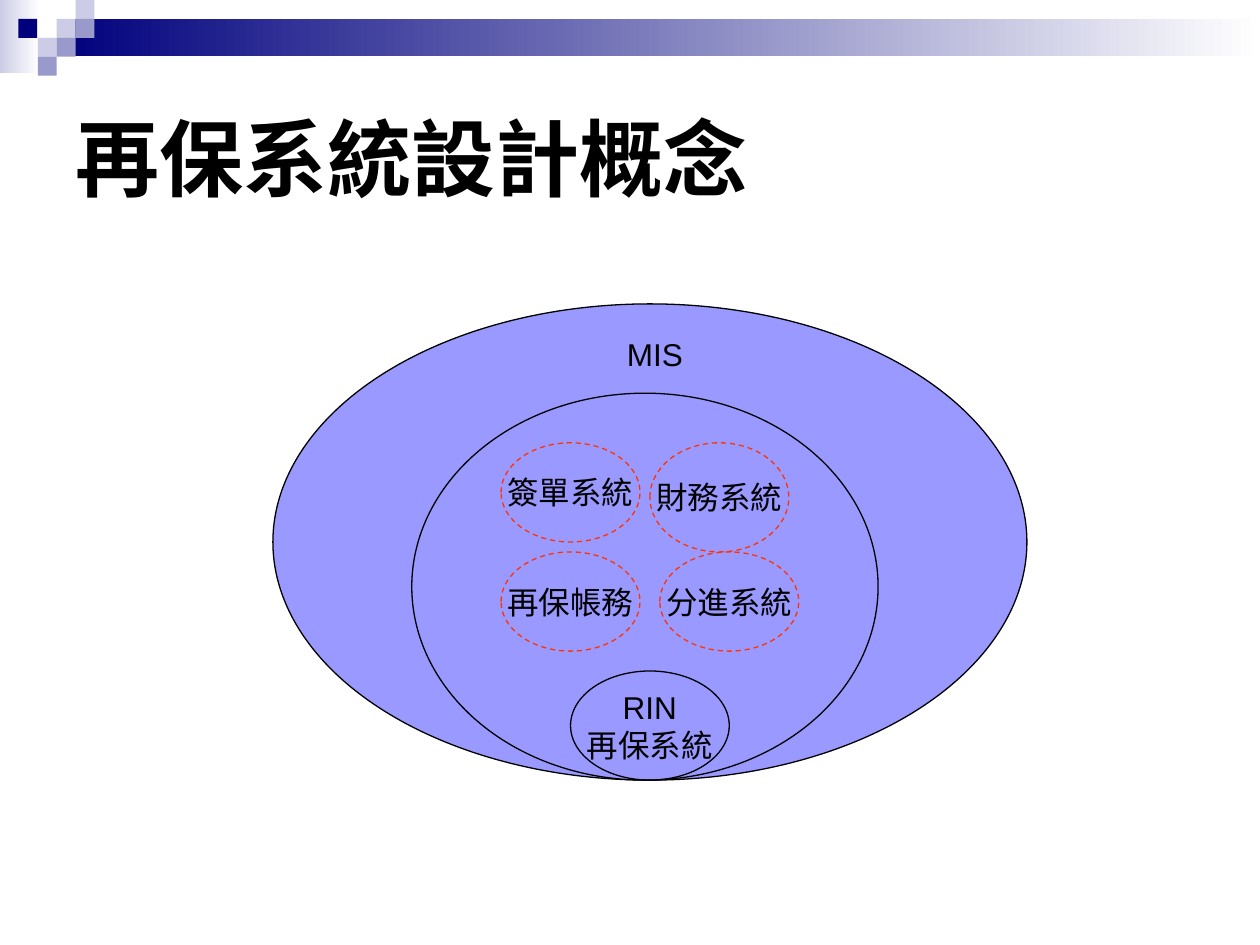
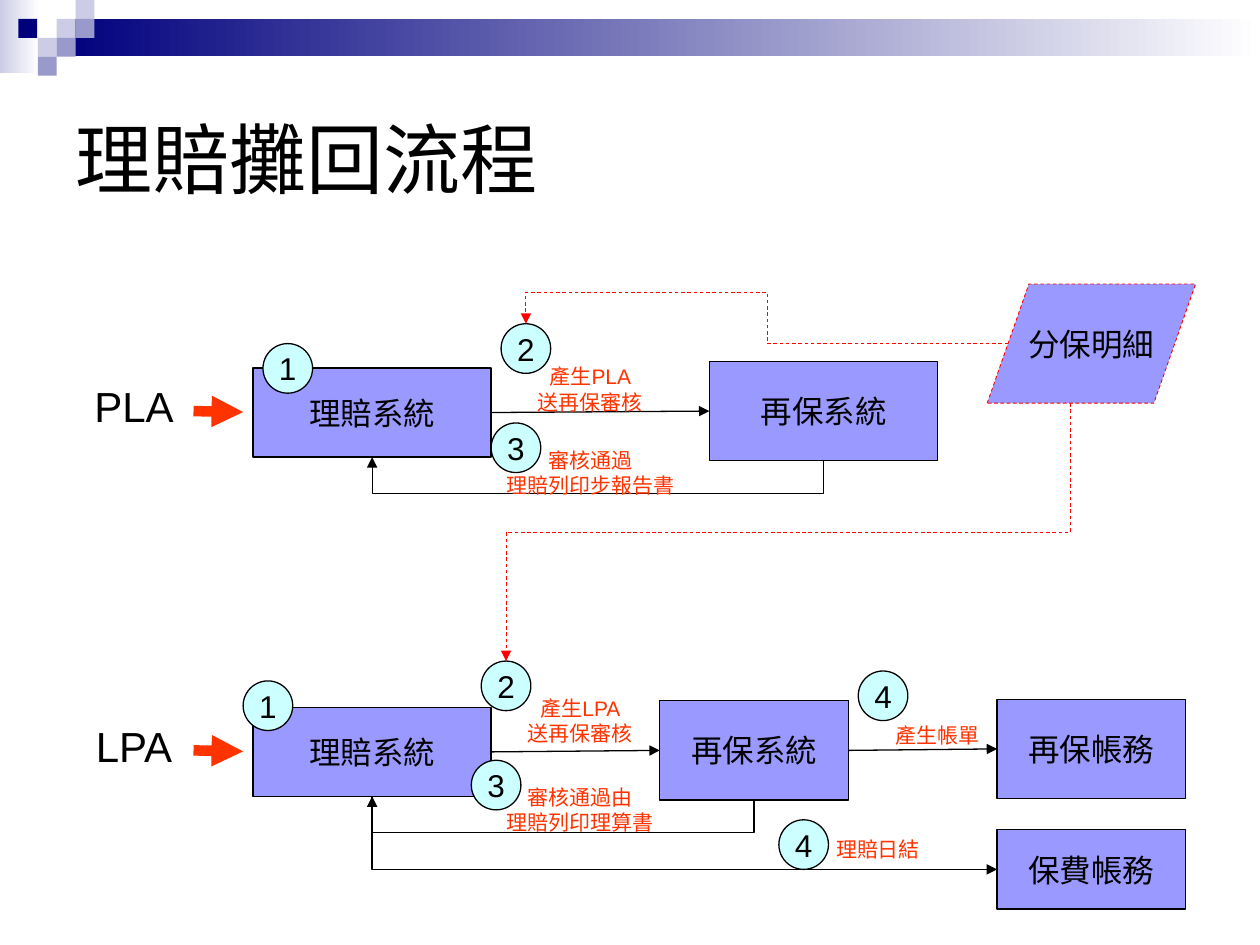
from pptx import Presentation
from pptx.dml.color import RGBColor
from pptx.enum.dml import MSO_LINE
from pptx.enum.shapes import MSO_CONNECTOR, MSO_SHAPE
from pptx.enum.text import MSO_ANCHOR, PP_ALIGN
from pptx.oxml.ns import qn
from pptx.util import Inches, Mm, Pt

RECT, OVAL = MSO_SHAPE.RECTANGLE, MSO_SHAPE.OVAL
DATA = MSO_SHAPE.FLOWCHART_DATA
PROCESS = MSO_SHAPE.FLOWCHART_PROCESS
DASH, DASH_DOT = MSO_LINE.DASH, MSO_LINE.DASH_DOT
STRAIGHT, ELBOW = MSO_CONNECTOR.STRAIGHT, MSO_CONNECTOR.ELBOW
LEFT, CENTER = PP_ALIGN.LEFT, PP_ALIGN.CENTER
TOP_SITE, LEFT_SITE, BOTTOM_SITE, RIGHT_SITE = range(4)

FONT = "Arial"
BLACK, WHITE, NAVY = "000000", "FFFFFF", "00007D"
PALE, MID = "CCCCE6", "9999CC"
VIOLET, AQUA, ORANGE, RED = "9999FF", "CCFFFF", "FF3300", "FF0000"

# Diagrams sit on a 2 mm grid; the header sits on a mosaic of 0.15 inch tiles.
GRID = (Mm(2), Inches(0.04), Inches(0.05))
MOSAIC = (Inches(0.15), 0, 0)


def draw(slide, kind, cells, text="", fill=None, line=None, dash=None, weight=0.75,
         size=18, color=BLACK, align=CENTER, grid=GRID):
    """Add a shape at (column, row, columns wide, rows high) of a grid."""
    unit, x0, y0 = grid
    column, row, wide, high = cells
    box = [int(v) for v in (x0 + column * unit, y0 + row * unit, wide * unit, high * unit)]
    if kind is None:
        shape = slide.shapes.add_textbox(*box)
    else:
        shape = slide.shapes.add_shape(kind, *box)
        shape.shadow.inherit = False
    if fill:
        shape.fill.solid()
        shape.fill.fore_color.rgb = RGBColor.from_string(fill)
    else:
        shape.fill.background()
    if line:
        shape.line.color.rgb = RGBColor.from_string(line)
        shape.line.width = Pt(weight)
        if dash:
            shape.line.dash_style = dash
    else:
        shape.line.fill.background()
    if text:
        frame = shape.text_frame
        frame.word_wrap = False
        frame.vertical_anchor = MSO_ANCHOR.MIDDLE
        frame.text = text
        for paragraph in frame.paragraphs:
            paragraph.alignment = align
            paragraph.font.name = FONT
            paragraph.font.size = Pt(size)
            paragraph.font.color.rgb = RGBColor.from_string(color)
    return shape


def link(slide, start, end, joints=None, color=BLACK, weight=0.75, dash=None,
         bend=None, turn=0, flip=None, shares=()):
    """Add an arrow between grid points; bend, turn, flip and shares shape an elbow."""
    unit, x0, y0 = GRID
    x1, y1, x2, y2 = [int(v) for v in (x0 + start[0] * unit, y0 + start[1] * unit,
                                       x0 + end[0] * unit, y0 + end[1] * unit)]
    arrow = slide.shapes.add_connector(ELBOW if bend else STRAIGHT, x1, y1, x2, y2)
    if joints:
        source, source_site, target, target_site = joints
        arrow.begin_connect(source, source_site)
        arrow.end_connect(target, target_site)
    properties = arrow._element.spPr
    if bend:
        wide, high = abs(x2 - x1), abs(y2 - y1)
        if turn in (90, 270):
            wide, high = high, wide
        arrow.left, arrow.top = (x1 + x2 - wide) // 2, (y1 + y2 - high) // 2
        arrow.width, arrow.height = wide, high
        frame = properties.find(qn("a:xfrm"))
        for side in ("flipH", "flipV"):
            frame.set(side, "1" if side == flip else "0")
        frame.set("rot", str(turn * 60000))
        geometry = properties.find(qn("a:prstGeom"))
        geometry.set("prst", bend)
        guides = geometry.find(qn("a:avLst"))
        for number, share in enumerate(shares, 1):
            guide = guides.makeelement(qn("a:gd"), {
                "name": f"adj{number}", "fmla": f"val {round(share * 100000)}"})
            guides.append(guide)
    arrow.line.color.rgb = RGBColor.from_string(color)
    arrow.line.width = Pt(weight)
    if dash:
        arrow.line.dash_style = dash
    stroke = properties.find(qn("a:ln"))
    stroke.append(stroke.makeelement(qn("a:tailEnd"), {"type": "triangle"}))
    properties.append(properties.makeelement(qn("a:effectLst"), {}))


prs = Presentation()
prs.slide_width, prs.slide_height = Inches(10), Inches(7.5)

# Header and title of both slides
bands = [((0, 0, 2.07, 3.87), PALE), ((3, 1, 63.67, 1.97), NAVY)]
tiles = [(3, 1, PALE), (4, 0, PALE), (4, 1, MID), (2, 2, PALE),
         (0.97, 1, NAVY), (3, 2, MID), (2, 3, MID)]
slides = []
for heading, size, bold in [("再保系統設計概念", 48, True), ("理賠攤回流程", 44, False)]:
    slide = prs.slides.add_slide(prs.slide_layouts[6])
    for cells, shade in bands:
        band = draw(slide, RECT, cells, grid=MOSAIC)
        band.fill.gradient()
        band.fill.gradient_angle = 0
        for stop, stop_color in zip(band.fill.gradient_stops, (shade, WHITE)):
            stop.color.rgb = RGBColor.from_string(stop_color)
            stop.position = 0 if stop_color == shade else 1
    for column, row, shade in tiles:
        draw(slide, RECT, (column, row, 1, 1), fill=shade, grid=MOSAIC)
    title = draw(slide, None, (3.33, 3.33, 60, 10), heading, size=size, align=LEFT, grid=MOSAIC)
    title.text_frame.word_wrap = True
    title.text_frame.paragraphs[0].font.bold = bold
    slides.append(slide)
concept, flow = slides

# Slide 1: nested systems
for cells in [(27, 30, 76, 48), (41, 39, 47, 39)]:
    draw(concept, OVAL, cells, fill=VIOLET, line=BLACK)
draw(concept, OVAL, (57, 67, 16, 11), "RIN\n再保系統", line=BLACK)
for name, column, row, high in [("簽單系統", 50, 44, 10), ("財務系統", 65, 44, 11),
                                ("再保帳務", 50, 55, 10), ("分進系統", 66, 55, 10)]:
    draw(concept, OVAL, (column, row, 14, high), name, line=ORANGE, dash=DASH)
draw(concept, None, (57, 32, 17, 6), "MIS")

# Slide 2: the two claim flows
detail = draw(flow, DATA, (99, 28, 21, 12), "分保明細", fill=VIOLET, line=RED,
              dash=DASH, weight=0.5)
detail_routes = [
    dict(start=(101.1, 34), site=LEFT_SITE, bend="bentConnector4", turn=180,
         shares=(0.5, 2.6)),
    dict(start=(107.4, 40), site=BOTTOM_SITE, bend="bentConnector3", turn=90,
         shares=(0.5,)),
]
stages = [
    ("PLA", 35.8, (71, 23), (26, 34), (54, 36.6), (54, 45), "審核通過\n理賠列印步報告書"),
    ("LPA", 70, (66, 19), (24, 68), (53, 70), (53, 79), "審核通過由\n理賠列印理算書"),
]
for stage, route in zip(stages, detail_routes):
    notice, top, (column, wide), (step_x, step_y), sent_at, passed_at, passed = stage
    claims = draw(flow, RECT, (25, top + 0.65, 24, 9), "理賠系統", fill=VIOLET, line=BLACK)
    reinsurance = draw(flow, RECT, (column, top, wide, 10), "再保系統", fill=VIOLET, line=BLACK)
    draw(flow, None, (6, top, 14, 9), notice, size=24)
    link(flow, (19, top + 5), (24, top + 5.1), color=ORANGE, weight=6, dash=DASH_DOT)
    link(flow, (49, top + 5.15), (column, top + 5),
         (claims, RIGHT_SITE, reinsurance, LEFT_SITE))
    link(flow, (column + wide / 2, top + 10), (37, top + 9.65),
         (reinsurance, BOTTOM_SITE, claims, BOTTOM_SITE),
         bend="bentConnector3", turn=270, flip="flipV", shares=(-3.3 / 0.35,))
    for label_at, label, backing in [(sent_at, f"產生{notice}\n送再保審核", WHITE),
                                     (passed_at, passed, None)]:
        draw(flow, RECT, (*label_at, 10, 4), label, fill=backing, size=12, color=ORANGE)
    steps = [draw(flow, OVAL, (step_x + dx, step_y + dy, 5, 5), str(number),
                  fill=AQUA, line=BLACK)
             for number, (dx, dy) in enumerate([(0, 0), (24, -2), (23, 8)], 1)]
    link(flow, route["start"], (step_x + 26.5, step_y - 2),
         (detail, route["site"], steps[1], TOP_SITE), color=RED, weight=0.5, dash=DASH,
         bend=route["bend"], turn=route["turn"], shares=route["shares"])

# Accounts fed by the LPA flow
accounts = draw(flow, RECT, (100, 69.85, 19, 10), "再保帳務", fill=VIOLET, line=BLACK)
premiums = draw(flow, PROCESS, (100, 83, 19, 8), "保費帳務", fill=VIOLET, line=BLACK)
link(flow, (85, 75), (100, 74.85), (reinsurance, RIGHT_SITE, accounts, LEFT_SITE))
link(flow, (37, 79.65), (100, 87), (claims, BOTTOM_SITE, premiums, LEFT_SITE),
     bend="bentConnector2", turn=270, flip="flipH")
for step_at, label_at, label in [((86, 67), (89, 71.5), "產生帳單"),
                                 ((78, 82), (83, 83), "理賠日結")]:
    draw(flow, RECT, (*label_at, 10, 4), label, size=12, color=ORANGE)
    draw(flow, OVAL, (*step_at, 5, 5), "4", fill=AQUA, line=BLACK)

prs.save("out.pptx")
